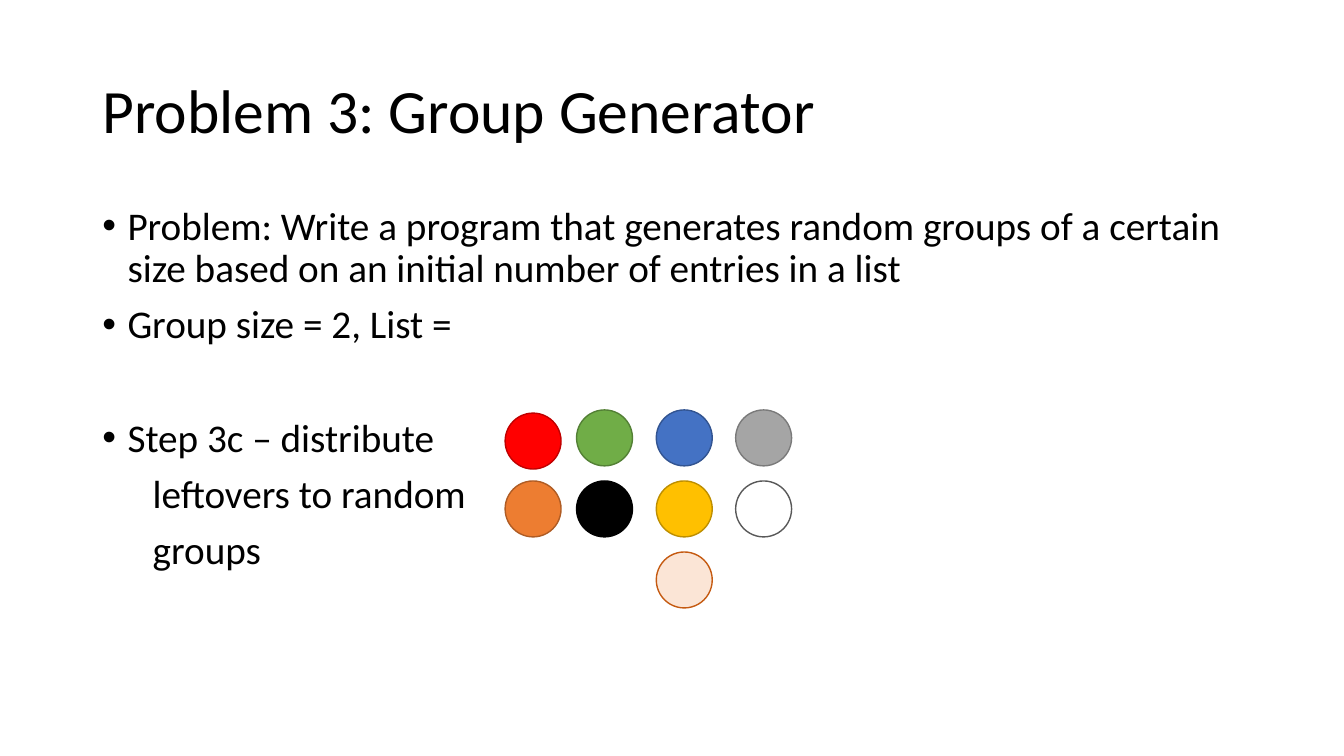
"""Build the Group Generator slide with its bullets and coloured list entries."""
from lxml import etree
from pptx import Presentation
from pptx.dml.color import RGBColor
from pptx.enum.shapes import MSO_SHAPE
from pptx.enum.text import MSO_ANCHOR
from pptx.oxml.ns import qn
from pptx.util import Cm, Pt

OVAL = MSO_SHAPE.OVAL
TOP, MIDDLE = MSO_ANCHOR.TOP, MSO_ANCHOR.MIDDLE

LINES = [
    ("Problem: Write a program that generates random groups of a certain "
     "size based on an initial number of entries in a list",
     {"bullet": True, "before": 10}),
    ("Group size = 2, List =", {"bullet": True, "before": 10}),
    ("Step 3c – distribute", {"bullet": True, "before": 50.8}),
    ("leftovers to random", {"indent": 1.27, "before": 10}),
    ("groups", {"indent": 1.27, "before": 10}),
]

COLUMN_LEFTS = [12.73, 14.53, 16.54, 18.54]
FIRST_ROW_TOP, ROW_STEP = 10.33, 1.79
RED_DROP = 0.08
ENTRY_ROWS = [
    [("FF0000", "C00000"), ("70AD47", "538035"),
     ("4472C4", "325491"), ("A5A5A5", "7A7A7A")],
    [("ED7D31", "AF5C24"), ("000000", "000000"),
     ("FFC000", "BD8E00"), ("FFFFFF", "595959")],
    [None, None, ("FBE5D6", "C55A11"), None],
]


def color(hex_value):
    """Turn a hex string into a colour."""
    return RGBColor.from_string(hex_value)


def write(paragraph, text, size=28, font="Calibri", ink="000000",
          before=0, indent=0, bullet=False):
    """Put formatted text into a paragraph."""
    run = paragraph.add_run()
    run.text = text
    run.font.size = Pt(size)
    run.font.name = font
    run.font.color.rgb = color(ink)
    paragraph.line_spacing = 0.9
    paragraph.space_before = Pt(before)
    properties = paragraph._p.get_or_add_pPr()
    hanging = Cm(0.635) if bullet else 0
    properties.set("marL", str(Cm(indent) + hanging))
    properties.set("indent", str(-hanging))
    if bullet:
        etree.SubElement(properties, qn("a:buFont")).set("typeface", "Arial")
        etree.SubElement(properties, qn("a:buChar")).set("char", "•")


class GroupSlide:
    """Hold the current slide and its shared style."""

    text_left, text_width = 2.33, 29.21
    entry_size = 1.41
    outline = 1

    def __init__(self, slide):
        """Keep the slide to draw on."""
        self.slide = slide

    def text(self, top, height, lines, anchor=TOP):
        """Add a text box with one paragraph for each line."""
        box = self.slide.shapes.add_textbox(
            Cm(self.text_left), Cm(top), Cm(self.text_width), Cm(height))
        frame = box.text_frame
        frame.word_wrap = True
        frame.vertical_anchor = anchor
        for number, (words, style) in enumerate(lines):
            paragraph = frame.add_paragraph() if number else frame.paragraphs[0]
            write(paragraph, words, **style)

    def entry(self, left, top, fill, line):
        """Add one coloured list entry."""
        dot = self.slide.shapes.add_shape(
            OVAL, Cm(left), Cm(top), Cm(self.entry_size), Cm(self.entry_size))
        dot.shadow.inherit = False
        dot.fill.solid()
        dot.fill.fore_color.rgb = color(fill)
        dot.line.color.rgb = color(line)
        dot.line.width = Pt(self.outline)


def main():
    """Build and save the presentation."""
    deck = Presentation()
    deck.slide_width, deck.slide_height = Cm(33.87), Cm(19.05)
    page = GroupSlide(deck.slides.add_slide(deck.slide_layouts[6]))
    page.text(1.01, 3.68, [("Problem 3: Group Generator", {"size": 44})], MIDDLE)
    page.text(5.07, 12.09, LINES)
    for row, entries in enumerate(ENTRY_ROWS):
        for left, entry in zip(COLUMN_LEFTS, entries):
            if entry:
                fill, line = entry
                drop = RED_DROP if fill == "FF0000" else 0
                page.entry(left, FIRST_ROW_TOP + row * ROW_STEP + drop, fill, line)
    deck.save("out.pptx")


if __name__ == "__main__":
    main()
